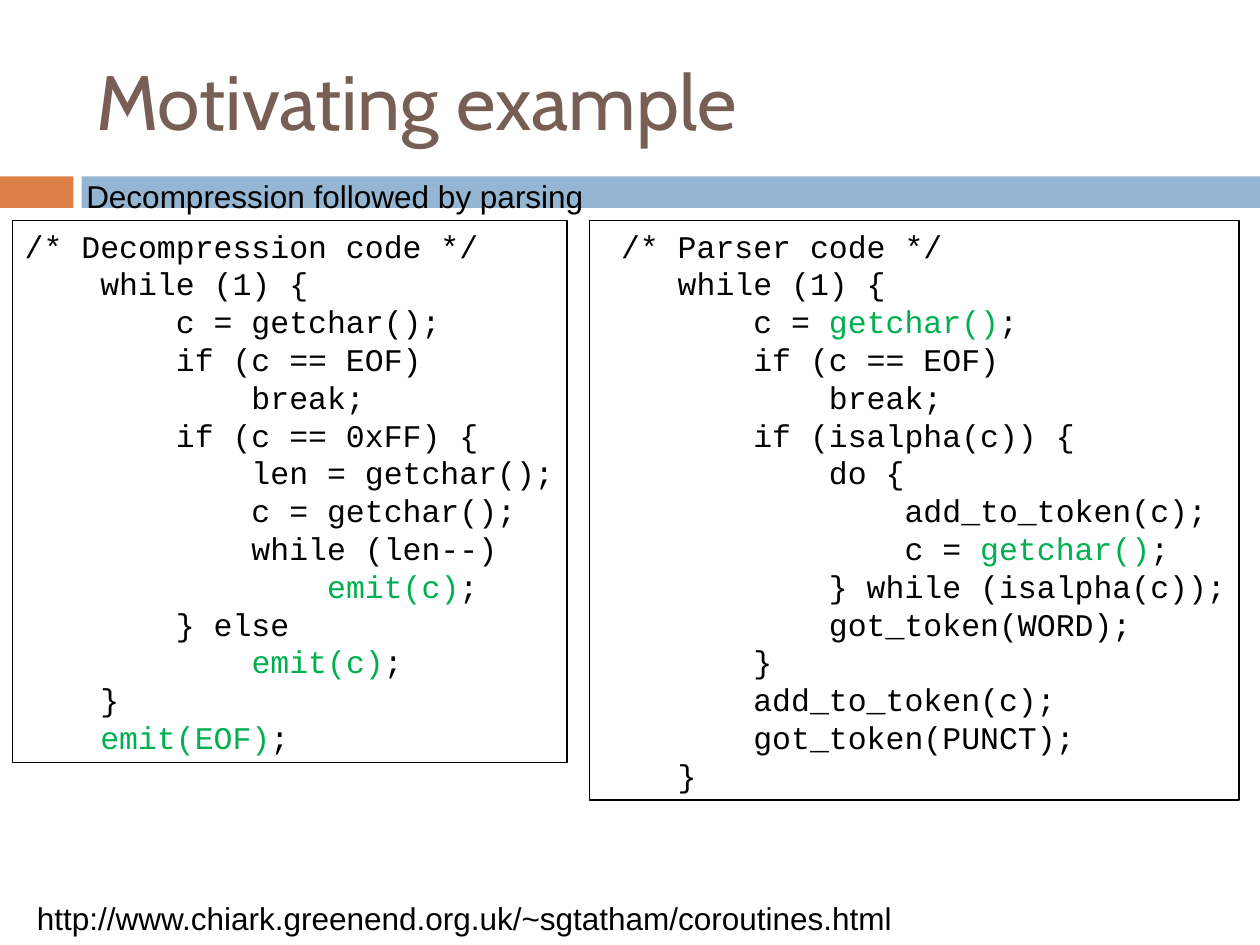
import pptx
import pptx.dml.color
import pptx.enum.shapes
import pptx.enum.text
import pptx.util

Pt = pptx.util.Pt
BLACK, GREEN, BROWN = "000000", "00B050", "775F55"
ORANGE, BLUE = "DD8047", "94B6D2"

DECOMPRESSION = """/* Decompression code */
    while (1) {
        c = getchar();
        if (c == EOF)
            break;
        if (c == 0xFF) {
            len = getchar();
            c = getchar();
            while (len--)
                |emit(c)|;
        } else
            |emit(c)|;
    }
    |emit(EOF)|;"""

PARSER = """ /* Parser code */
    while (1) {
        c = |getchar()|;
        if (c == EOF)
            break;
        if (isalpha(c)) {
            do {
                add_to_token(c);
                c = |getchar()|;
            } while (isalpha(c));
            got_token(WORD);
        }
        add_to_token(c);
        got_token(PUNCT);
    }"""


def rgb(color):
    """Turn a hex string into a colour."""
    return pptx.dml.color.RGBColor.from_string(color)


def style(r, size, font, color):
    """Set the size, typeface and colour of a run."""
    r.font.size = Pt(size)
    r.font.name = font
    r.font.color.rgb = rgb(color)


def add_rect(s, left, top, width, height):
    """Add a plain rectangle without shadow, fill or line."""
    sp = s.shapes.add_shape(pptx.enum.shapes.MSO_SHAPE.RECTANGLE,
                            Pt(left), Pt(top), Pt(width), Pt(height))
    sp.shadow.inherit = False
    sp.fill.background()
    sp.line.fill.background()
    return sp


def add_band(s, left, top, width, height):
    """Add the two-coloured band below the title."""
    tab, gap = 42, 4.6
    parts = ((0, tab, ORANGE), (tab + gap, width - tab - gap, BLUE))
    for offset, part_width, color in parts:
        sp = add_rect(s, left + offset, top, part_width, height)
        sp.fill.solid()
        sp.fill.fore_color.rgb = rgb(color)


def add_label(s, left, top, width, height, text, size=18, font="Arial", color=BLACK):
    """Add a single line of text, centred vertically in its box."""
    sp = s.shapes.add_textbox(Pt(left), Pt(top), Pt(width), Pt(height))
    tf = sp.text_frame
    tf.word_wrap = False
    tf.vertical_anchor = pptx.enum.text.MSO_ANCHOR.MIDDLE
    tf.text = text
    style(tf.paragraphs[0].runs[0], size, font, color)


def add_code(s, left, top, width, height, code):
    """Add a framed listing whose parts between bars are green."""
    sp = add_rect(s, left, top, width, height)
    sp.line.color.rgb = rgb(BLACK)
    sp.line.width = Pt(0.75)
    tf = sp.text_frame
    tf.word_wrap = False
    tf.vertical_anchor = pptx.enum.text.MSO_ANCHOR.TOP
    tf.text = code.replace("|", "")
    for p, line in zip(tf.paragraphs, code.splitlines()):
        p.alignment = pptx.enum.text.PP_ALIGN.LEFT
        p.text = ""
        for i, part in enumerate(line.split("|")):
            r = p.add_run()
            r.text = part
            style(r, 18, "Courier New", GREEN if i % 2 else BLACK)


def main():
    """Build the slide and save it."""
    prs = pptx.Presentation()
    prs.slide_width, prs.slide_height = Pt(720), Pt(540)
    s = prs.slides.add_slide(prs.slide_layouts[6])
    add_band(s, 0, 100.8, 720, 18)
    add_label(s, 48, 18, 642, 78, "Motivating example", 44, "Cabin", BROWN)
    add_code(s, 7, 126, 317, 309.6, DECOMPRESSION)
    add_code(s, 337, 126, 371, 331.2, PARSER)
    add_label(s, 14, 510, 510, 29,
              "http://www.chiark.greenend.org.uk/~sgtatham/coroutines.html")
    add_label(s, 42.2, 97.4, 306, 29, "Decompression followed by parsing")
    prs.save("out.pptx")


if __name__ == "__main__":
    main()
